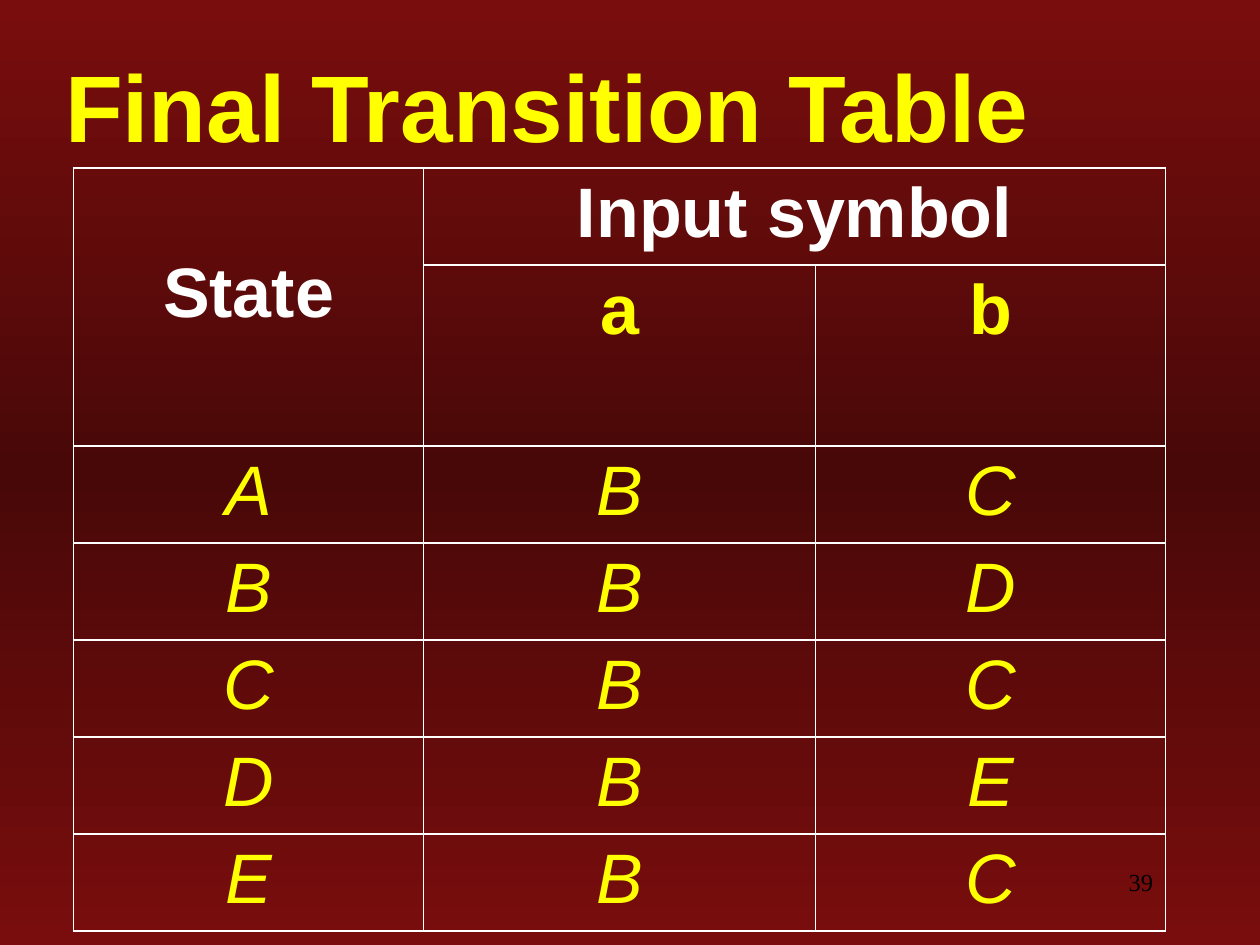
from copy import deepcopy
from dataclasses import dataclass

from lxml.etree import SubElement
from pptx import Presentation
from pptx.dml.color import RGBColor
from pptx.enum.text import MSO_ANCHOR, MSO_AUTO_SIZE, PP_ALIGN
from pptx.oxml import parse_xml
from pptx.oxml.ns import nsdecls, qn
from pptx.slide import Slide
from pptx.table import Table, _Cell
from pptx.text.text import TextFrame, _Run
from pptx.util import Pt

RED = RGBColor(0x79, 0x0D, 0x0D)
DARK_RED = RGBColor(0x49, 0x08, 0x08)
YELLOW = RGBColor(0xFF, 0xFF, 0x00)
WHITE = RGBColor(0xFF, 0xFF, 0xFF)
BLACK = RGBColor(0x00, 0x00, 0x00)

COLUMN_WIDTHS = (200, 224, 200)
ROW_HEIGHT = 55.4
SYMBOL_ROW_HEIGHT = 103.5
LINE_HEIGHT = 46
TRANSITIONS = ("ABC", "BBD", "CBC", "DBE", "EBC")


@dataclass(frozen=True)
class TextStyle:
    size: float
    color: RGBColor
    align: PP_ALIGN = PP_ALIGN.CENTER
    font: str = "Arial"
    bold: bool = False
    italic: bool = False


TITLE = TextStyle(54, YELLOW, PP_ALIGN.LEFT, bold=True)
HEADING = TextStyle(40, WHITE, bold=True)
SYMBOL = TextStyle(40, YELLOW, bold=True)
STATE = TextStyle(40, YELLOW, italic=True)
PAGE_NUMBER = TextStyle(14, BLACK, PP_ALIGN.RIGHT, "Times New Roman")


def write(frame: TextFrame, text: str, style: TextStyle) -> _Run:
    para = frame.paragraphs[0]
    para.alignment = style.align
    span = para.add_run()
    span.text = text
    font = span.font
    font.name, font.size = style.font, Pt(style.size)
    font.bold, font.italic = style.bold, style.italic
    font.color.rgb = style.color
    return span


def paint_background(page: Slide) -> None:
    fill = page.background.fill
    fill.gradient()
    fill.gradient_angle = 90
    stop_list = next(page.element.iter(qn("a:gsLst")))
    stop_list.append(deepcopy(stop_list[0]))
    for stop, position, color in zip(fill.gradient_stops, (0, 0.5, 1), (RED, DARK_RED, RED)):
        stop.position = position
        stop.color.rgb = color


def add_text_shadow(span: _Run) -> None:
    shadow = parse_xml(
        f'<a:effectLst {nsdecls("a")}><a:outerShdw dist="35921" dir="2700000">'
        '<a:srgbClr val="C0C0C0"/></a:outerShdw></a:effectLst>'
    )
    span.font._element.find(qn("a:solidFill")).addnext(shadow)


def add_title(page: Slide) -> None:
    title = page.shapes.title
    title.left, title.top, title.width, title.height = Pt(30), Pt(30), Pt(696), Pt(60)
    frame = title.text_frame
    frame.auto_size = MSO_AUTO_SIZE.NONE
    frame.vertical_anchor = MSO_ANCHOR.MIDDLE
    add_text_shadow(write(frame, "Final Transition Table", TITLE))


def add_page_number(page: Slide) -> None:
    box = page.shapes.add_textbox(Pt(516), Pt(492), Pt(150), Pt(36))
    box.text_frame.word_wrap = True
    write(box.text_frame, "39", PAGE_NUMBER)


def clear_and_outline(cell: _Cell) -> None:
    properties = cell._tc.get_or_add_tcPr()
    for side in ("a:lnL", "a:lnR", "a:lnT", "a:lnB"):
        line = SubElement(properties, qn(side), w=str(Pt(1.08)))
        fill = SubElement(line, qn("a:solidFill"))
        SubElement(fill, qn("a:srgbClr"), val=str(WHITE))
    cell.fill.background()


def add_transition_table(page: Slide) -> Table:
    heights = [ROW_HEIGHT, SYMBOL_ROW_HEIGHT] + [ROW_HEIGHT] * len(TRANSITIONS)
    table = page.shapes.add_table(
        len(heights), len(COLUMN_WIDTHS), Pt(42), Pt(96), Pt(sum(COLUMN_WIDTHS)), Pt(sum(heights))
    ).table
    table.first_row = table.horz_banding = False
    for column, width in zip(table.columns, COLUMN_WIDTHS):
        column.width = Pt(width)
    for row, height in zip(table.rows, heights):
        row.height = Pt(height)
    for cell in table.iter_cells():
        clear_and_outline(cell)

    state_heading, input_heading = table.cell(0, 0), table.cell(0, 1)
    state_heading.merge(table.cell(1, 0))
    input_heading.merge(table.cell(0, 2))
    state_heading.margin_top = Pt(3.6 + LINE_HEIGHT)
    write(state_heading.text_frame, "State", HEADING)
    write(input_heading.text_frame, "Input symbol", HEADING)
    for column, symbol in enumerate("ab", start=1):
        write(table.cell(1, column).text_frame, symbol, SYMBOL)
    for row, states in enumerate(TRANSITIONS, start=2):
        for column, state in enumerate(states):
            write(table.cell(row, column).text_frame, state, STATE)
    return table


def main() -> None:
    deck = Presentation()
    deck.slide_width, deck.slide_height = Pt(720), Pt(540)
    page = deck.slides.add_slide(deck.slide_layouts.get_by_name("Title Only"))
    paint_background(page)
    add_page_number(page)
    add_title(page)
    add_transition_table(page)
    deck.save("out.pptx")


if __name__ == "__main__":
    main()
